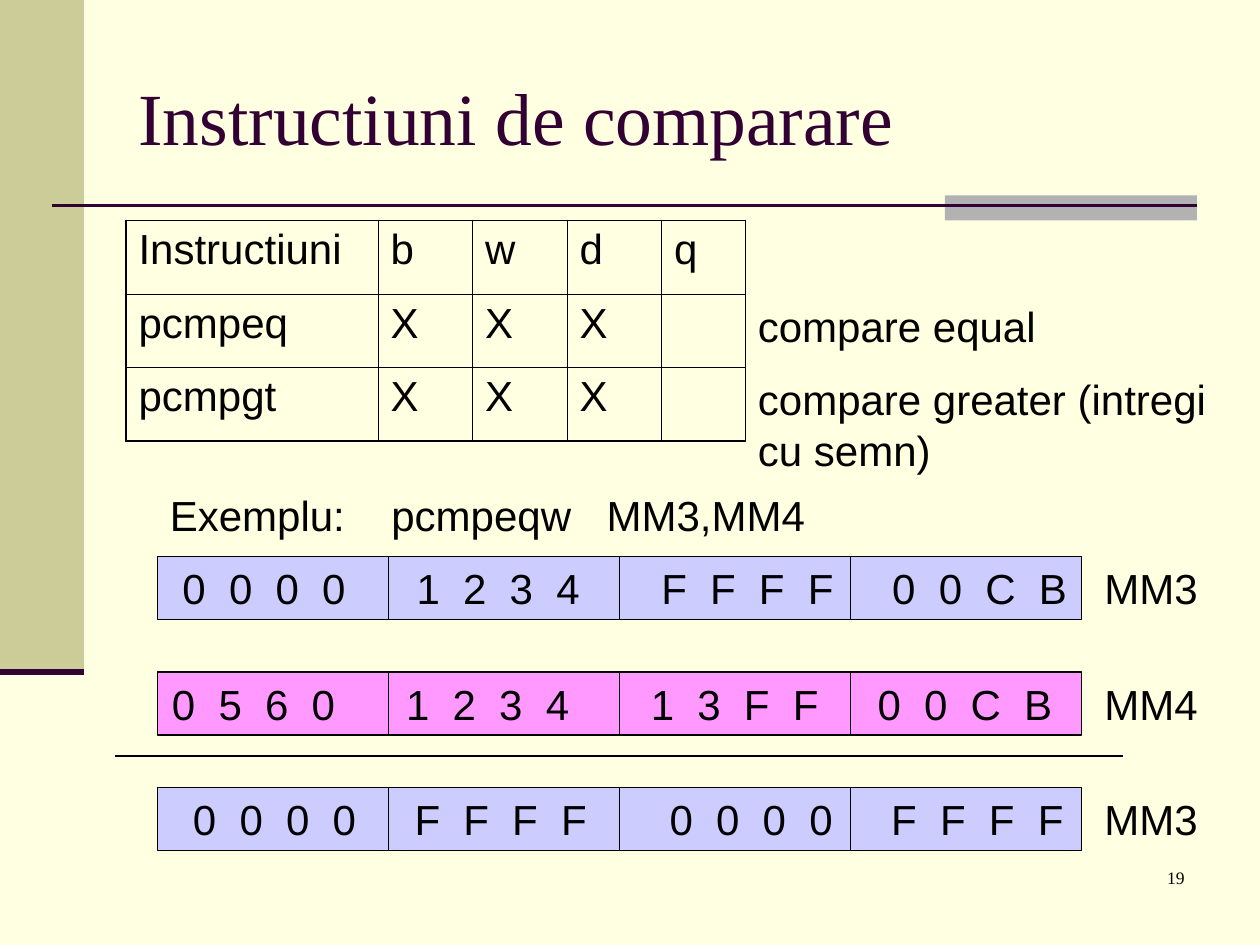
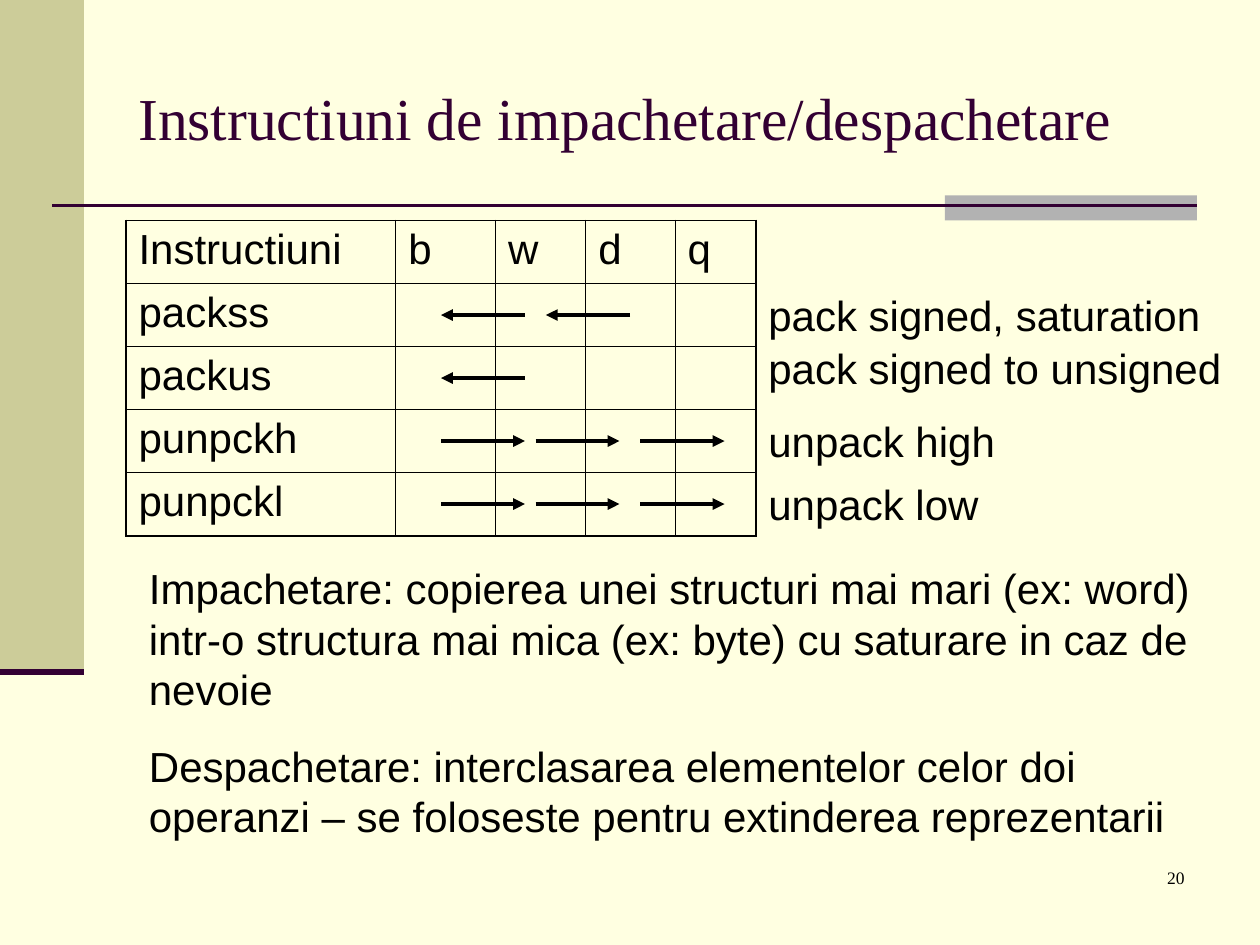
from dataclasses import dataclass

from pptx import Presentation
from pptx import util as u
from pptx.dml.color import RGBColor
from pptx.enum import shapes, text
from pptx.oxml.ns import qn
from lxml import etree

PX = 7620  # EMU per px, 120 px to the inch


@dataclass(frozen=True)
class Theme:
    background: str = "FFFFE1"
    band: str = "CCCC99"
    bar: str = "B2B2B2"
    accent: str = "330033"
    ink: str = "000000"
    source_word: str = "CCCCFF"
    operand_word: str = "FF99FF"
    title_font: str = "Times New Roman"
    body_font: str = "Arial"
    body_size: int = 24
    number_size: int = 10
    outer_border: float = 1.08
    inner_border: float = 0.45


T = Theme()


def px(*values):
    return [u.Emu(v * PX) for v in values]


def rgb(code):
    return RGBColor.from_string(code)


def add_run(p, words, size=T.body_size, font=T.body_font, color=T.ink):
    r = p.add_run()
    r.text = words
    r.font.size = u.Pt(size)
    r.font.name = font
    r.font.color.rgb = rgb(color)
    return r


def add_box(s, at):
    tf = s.shapes.add_textbox(*px(*at)).text_frame
    tf.word_wrap = True
    return tf


def add_text(s, at, *paragraphs):
    tf = add_box(s, at)
    for i, words in enumerate(paragraphs):
        p = tf.add_paragraph() if i else tf.paragraphs[0]
        p.space_before = u.Pt(15)
        add_run(p, words)
    return tf


def add_tabbed(s, at, parts, stops, spacing=0):
    """One line whose parts start at tab stops; spacing widens letters, in points."""
    p = add_box(s, at).paragraphs[0]
    tabs = etree.SubElement(p._p.get_or_add_pPr(), qn("a:tabLst"))
    for stop in stops:
        etree.SubElement(tabs, qn("a:tab"), pos=str(stop * PX), algn="l")
    r = add_run(p, "\t".join(parts))
    if spacing:
        r.font._element.set("spc", str(round(spacing * 100)))


def add_rect(s, at, fill, outlined=False):
    sp = s.shapes.add_shape(shapes.MSO_SHAPE.RECTANGLE, *px(*at))
    sp.shadow.inherit = False
    sp.fill.solid()
    sp.fill.fore_color.rgb = rgb(fill)
    if outlined:
        sp.line.color.rgb = rgb(T.ink)
        sp.line.width = u.Pt(0.75)
    else:
        sp.line.fill.background()


def add_line(s, start, end, width, color=T.ink, arrow=False):
    c = s.shapes.add_connector(shapes.MSO_CONNECTOR.STRAIGHT, *px(*start, *end))
    c.line.color.rgb = rgb(color)
    c.line.width = u.Pt(width)
    if arrow:
        etree.SubElement(c.line._get_or_add_ln(), qn("a:tailEnd"), type="triangle")
    etree.SubElement(c._element.spPr, qn("a:effectLst"))


def set_borders(cell, widths):
    """Widths in points for the left, right, top and bottom sides."""
    tc_pr = cell._tc.get_or_add_tcPr()
    for i, (side, width) in enumerate(zip("LRTB", widths)):
        ln = etree.Element(qn(f"a:ln{side}"), w=str(int(u.Pt(width))))
        fill = etree.SubElement(ln, qn("a:solidFill"))
        etree.SubElement(fill, qn("a:srgbClr"), val=T.ink)
        tc_pr.insert(i, ln)


def add_grid(s, left, top, col_widths, row_height, rows):
    n_rows, n_cols = len(rows), len(col_widths)
    at = (left, top, sum(col_widths), row_height * n_rows)
    table = s.shapes.add_table(n_rows, n_cols, *px(*at)).table
    table.first_row = table.horz_banding = False
    for col, width in zip(table.columns, col_widths):
        col.width = u.Emu(width * PX)
    for y, labels in enumerate(rows):
        table.rows[y].height = u.Emu(row_height * PX)
        for x in range(n_cols):
            cell = table.cell(y, x)
            cell.fill.background()
            on_edge = (x == 0, x == n_cols - 1, y == 0, y == n_rows - 1)
            set_borders(cell, [T.outer_border if e else T.inner_border
                               for e in on_edge])
            if x < len(labels):
                add_run(cell.text_frame.paragraphs[0], labels[x])


def add_register(s, top, fill, name, text_left, words, stops):
    """Four 16-bit words in boxes, with the register name to the right."""
    for i in range(4):
        add_rect(s, (150 + 220 * i, top, 220, 60), fill, outlined=True)
    add_text(s, (1040, top, 120, 60), name)
    spaced = [" ".join(word) for word in words]
    add_tabbed(s, (text_left, top, 900, 60), [""] + spaced, stops, spacing=3.33)


def new_slide(prs, title, title_size, number):
    s = prs.slides.add_slide(prs.slide_layouts[6])
    s.background.fill.solid()
    s.background.fill.fore_color.rgb = rgb(T.background)
    add_rect(s, (0, 0, 80, 640), T.band)
    add_rect(s, (900, 186, 240, 24), T.bar)
    add_line(s, (50, 196), (1140, 196), 1.5, T.accent)
    add_line(s, (0, 640), (80, 640), 3.5, T.accent)
    tf = add_box(s, (120, 36, 1020, 150))
    tf.vertical_anchor = text.MSO_ANCHOR.MIDDLE
    add_run(tf.paragraphs[0], title, title_size, T.title_font, T.accent)
    p = add_box(s, (890, 820, 250, 60)).paragraphs[0]
    p.alignment = text.PP_ALIGN.RIGHT
    add_run(p, str(number), T.number_size, T.title_font)
    return s


def compare_slide(prs):
    s = new_slide(prs, "Instructiuni de comparare", 42, 19)
    add_grid(s, 120, 210, [240, 90, 90, 90, 80], 70,
             [["Instructiuni", "b", "w", "d", "q"],
              ["pcmpeq", "X", "X", "X"],
              ["pcmpgt", "X", "X", "X"]])
    add_text(s, (710, 280, 410, 60), "compare equal")
    add_text(s, (710, 350, 460, 108), "compare greater (intregi cu semn)")
    add_tabbed(s, (150, 460, 670, 60), ["Exemplu:", "pcmpeqw", "MM3,MM4"],
               [211, 416])
    add_register(s, 530, T.source_word, "MM3", 140,
                 ["0000", "1234", "FFFF", "00CB"], [22, 245, 478, 698])
    add_register(s, 640, T.operand_word, "MM4", 130,
                 ["0560", "1234", "13FF", "00CB"], [22, 245, 478, 694])
    add_line(s, (110, 720), (1070, 720), 0.75)
    add_register(s, 750, T.source_word, "MM3", 150,
                 ["0000", "FFFF", "0000", "FFFF"], [22, 233, 476, 687])


def pack_slide(prs):
    s = new_slide(prs, "Instructiuni de impachetare/despachetare", 34, 20)
    add_grid(s, 120, 210, [257, 95, 86, 85, 77], 60,
             [["Instructiuni", "b", "w", "d", "q"],
              ["packss"], ["packus"], ["punpckh"], ["punpckl"]])

    narrowing, widening = -80, 80
    arrow_rows = [(narrowing, [600, 500]), (narrowing, [500]),
                  (widening, [420, 510, 610]), (widening, [420, 510, 610])]
    for i, (length, starts) in enumerate(arrow_rows):
        y = 300 + 60 * i
        for x in starts:
            add_line(s, (x, y), (x + length, y), 2.25, arrow=True)

    for top, width, meaning in [(270, 450, "pack signed, saturation"),
                                (320, 480, "pack signed to unsigned"),
                                (390, 340, "unpack high"),
                                (450, 340, "unpack low")]:
        add_text(s, (720, top, width, 60), meaning)
    add_text(s, (130, 530, 1040, 277),
             "Impachetare: copierea unei structuri mai mari (ex: word) intr-o "
             "structura mai mica (ex: byte) cu saturare in caz de nevoie",
             "Despachetare: interclasarea elementelor celor doi operanzi – se "
             "foloseste pentru extinderea reprezentarii")


def main():
    prs = Presentation()
    prs.slide_width, prs.slide_height = px(1200, 900)
    compare_slide(prs)
    pack_slide(prs)
    prs.save("out.pptx")


if __name__ == "__main__":
    main()
